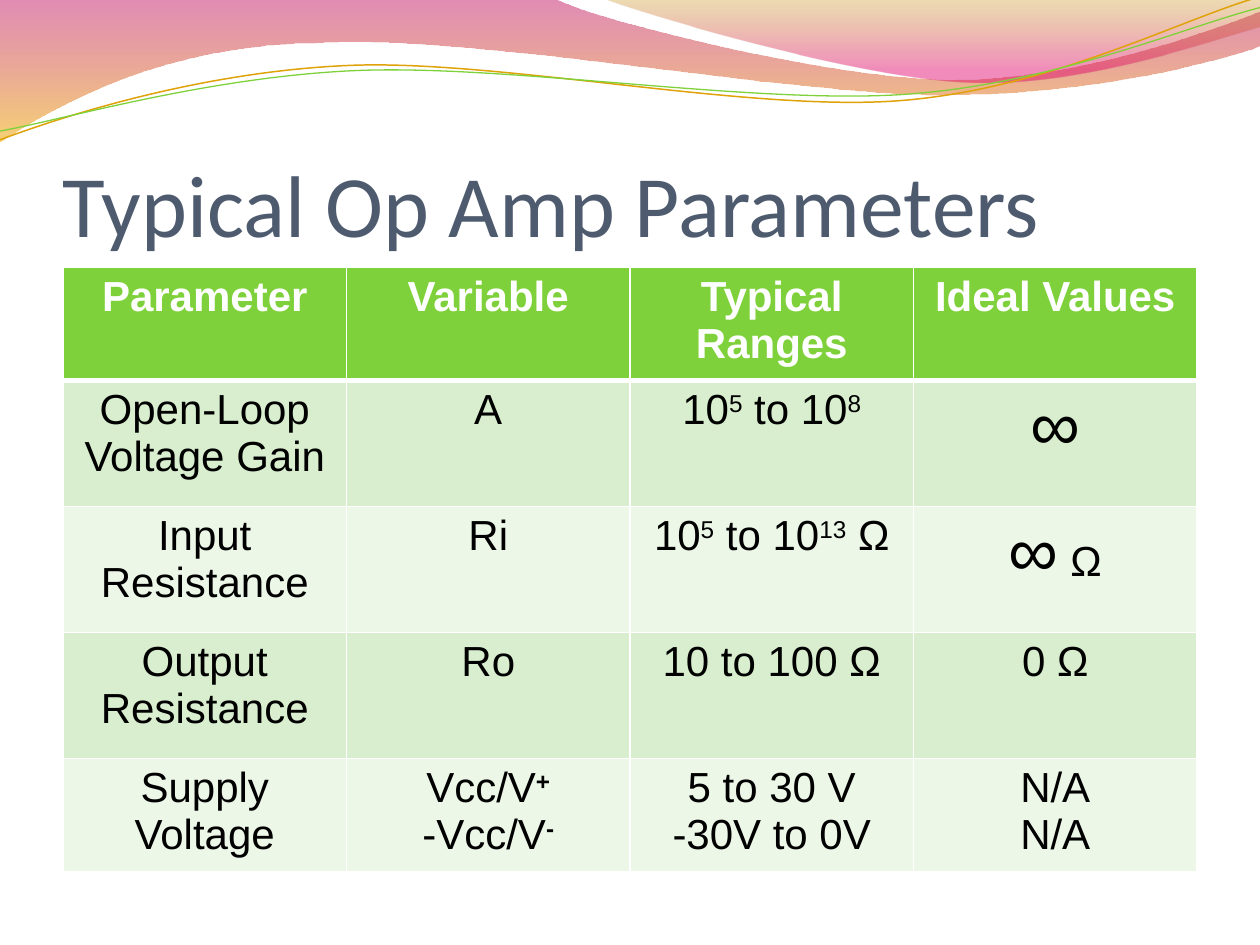
import math

from lxml import etree
from pptx import Presentation
from pptx import util as u
from pptx.dml.color import RGBColor
from pptx.enum import text
from pptx.oxml.ns import qn

COLORS = {"title": "4E5B6F", "green": "7FD13B", "gold": "E0A209", "white": "FFFFFF",
          "black": "000000", "band": "D8EECE", "pale": "ECF7E8",
          "berry": "BD0059", "amber": "F0AB00", "olive": "C38B00", "pink": "E1006B"}

TITLE = "Typical Op Amp Parameters"
HEADERS = ["Parameter", "Variable", "Typical Ranges", "Ideal Values"]
ROWS = [
    [["Open-Loop Voltage Gain"], ["A"],
     [("10", ("5", "sup"), " to 10", ("8", "sup"))], [(("∞", "big"),)]],
    [["Input Resistance"], ["Ri"],
     [("10", ("5", "sup"), " to 10", ("13", "sup"), " Ω")], [(("∞", "big"), " Ω")]],
    [["Output Resistance"], ["Ro"], ["10 to 100 Ω"], ["0 Ω"]],
    [["Supply Voltage"],
     [("Vcc/V", ("+", "sign")), ("-Vcc/V", ("-", "sign"))],
     ["5 to 30 V", "-30V to 0V"], ["N/A", "N/A"]],
]
ROW_HEIGHTS = [0.9, 1, 1, 1, 0.9]
COL_WIDTH = 2.25

# Each wave is a box and a start point, then lines (2 numbers) and cubic curves (6 numbers).
FILLED_WAVES = [
    ((-0.01, -0.01, 10.02, 1.14),
     [(0, -0.01), (4.4, -0.01), (4.76, 0.17, 6.64, 0.63, 7.58, 0.63),
      (8.53, 0.63, 9.58, 0.26, 10, 0.09), (10.01, 0.36),
      (9.83, 0.44, 8.7, 0.76, 7.46, 0.75), (6.22, 0.75, 3.82, 0.28, 2.57, 0.34),
      (1.29, 0.35, 0.46, 0.83, -0.01, 1.13), (0, -0.01)],
     [(0, "berry", 45), (1, "amber", 55)]),
    ((4.79, -0.01, 5.21, 0.7),
     [(4.79, -0.01), (5.09, 0.11, 6.82, 0.62, 7.69, 0.65),
      (8.56, 0.69, 9.61, 0.32, 10, 0.21), (10, 0), (4.79, -0.01)],
     [(0, "olive", 30), (0.8, "pink", 45)]),
]
LINE_TILT = -2.7
LINE_WAVES = [
    ((-0.02, 0.22, 10.02, 0.71),
     [(0, 1.11), (0.48, 0.93, 1.58, 0.57, 2.77, 0.52),
      (3.95, 0.47, 5.93, 0.89, 7.13, 0.8), (8.33, 0.71, 9.38, 0.15, 9.98, -0.02)],
     "gold", 0.85),
    ((-0.02, 0.3, 10.03, 0.58),
     [(0, 1.04), (0.47, 0.96, 1.64, 0.61, 2.83, 0.56),
      (4.03, 0.51, 5.97, 0.83, 7.17, 0.75), (8.36, 0.67, 9.41, 0.21, 10, 0.06)],
     "green", 0.75),
]


def rgb(name):
    return RGBColor.from_string(COLORS[name])


def add_wave(s, box, segments, tilt=0, closed=False):
    left, top, width, height = box
    right, bottom = left + width, top + height
    builder = s.shapes.build_freeform(u.Inches(left), u.Inches(top))
    builder.add_line_segments([(u.Inches(x), u.Inches(y)) for x, y in
                               ((right, top), (right, bottom), (left, bottom))])
    sp = builder.convert_to_shape()
    sp.shadow.inherit = False
    sp.rotation = tilt
    cos, sin = math.cos(math.radians(-tilt)), math.sin(math.radians(-tilt))
    outline = next(sp.element.iter(qn("a:path")))
    for child in list(outline):
        outline.remove(child)
    for i, seg in enumerate(segments):
        tag = "a:moveTo" if i == 0 else "a:lnTo" if len(seg) == 2 else "a:cubicBezTo"
        step = etree.SubElement(outline, qn(tag))
        for x, y in zip(seg[::2], seg[1::2]):
            dx, dy = x - left - width / 2, y - top - height / 2
            pt = etree.SubElement(step, qn("a:pt"))
            pt.set("x", str(u.Inches(width / 2 + dx * cos - dy * sin)))
            pt.set("y", str(u.Inches(height / 2 + dx * sin + dy * cos)))
    if closed:
        etree.SubElement(outline, qn("a:close"))
    return sp


def fill_gradient(sp, stops):
    sp.fill.gradient()
    sp.fill.gradient_angle = 270
    for stop, (position, color, _) in zip(sp.fill.gradient_stops, stops):
        stop.position = position
        stop.color.rgb = rgb(color)
    colors = sp.element.spPr.find(qn("a:gradFill")).iter(qn("a:srgbClr"))
    for clr, (_, _, opacity) in zip(colors, stops):
        etree.SubElement(clr, qn("a:alpha")).set("val", str(opacity * 1000))


def add_run(p, content, size, font, color, bold=False):
    r = p.add_run()
    r.text = content
    r.font.size = u.Pt(size)
    r.font.name = font
    r.font.bold = bold
    r.font.color.rgb = rgb(color)
    return r


def write_cell(cell, paragraphs, color, bold):
    tf = cell.text_frame
    for i, runs in enumerate(paragraphs):
        p = tf.add_paragraph() if i else tf.paragraphs[0]
        p.alignment = text.PP_ALIGN.CENTER
        for run in (runs,) if isinstance(runs, str) else runs:
            content, kind = (run, "") if isinstance(run, str) else run
            r = add_run(p, content, 40 if kind == "big" else 24, "Arial", color,
                        bold or kind == "sign")
            if kind in ("sup", "sign"):
                r.font._element.set("baseline", "30000")


def set_borders(cell, top, bottom):
    tcPr = cell._tc.get_or_add_tcPr()
    for i, (side, width) in enumerate(zip("LRTB", (1, 1, top, bottom))):
        ln = etree.Element(qn("a:ln" + side), w=str(u.Pt(width)))
        fill = etree.SubElement(ln, qn("a:solidFill"))
        etree.SubElement(fill, qn("a:srgbClr")).set("val", COLORS["white"])
        tcPr.insert(i, ln)


def add_parameters(s):
    rows = [[[h] for h in HEADERS]] + ROWS
    table = s.shapes.add_table(len(rows), len(HEADERS), u.Inches(0.5), u.Inches(2.12),
                               u.Inches(COL_WIDTH * len(HEADERS)),
                               u.Inches(sum(ROW_HEIGHTS))).table
    for column in table.columns:
        column.width = u.Inches(COL_WIDTH)
    for i, (row, height) in enumerate(zip(rows, ROW_HEIGHTS)):
        table.rows[i].height = u.Inches(height)
        header = i == 0
        background = "green" if header else "band" if i % 2 else "pale"
        for j, paragraphs in enumerate(row):
            cell = table.cell(i, j)
            cell.fill.solid()
            cell.fill.fore_color.rgb = rgb(background)
            set_borders(cell, 3 if i == 1 else 1, 3 if header else 1)
            write_cell(cell, paragraphs, "white" if header else "black", header)


def add_title(s):
    tf = s.shapes.add_textbox(u.Inches(0.5), u.Inches(0.77),
                              u.Inches(9), u.Inches(1.25)).text_frame
    tf.word_wrap = True
    tf.vertical_anchor = text.MSO_ANCHOR.BOTTOM
    tf.margin_left = tf.margin_right = tf.margin_bottom = 0
    add_run(tf.paragraphs[0], TITLE, 50, "Calibri", "title")


def main():
    prs = Presentation()
    prs.slide_width, prs.slide_height = u.Inches(10), u.Inches(7.5)
    s = prs.slides.add_slide(prs.slide_layouts[6])
    for box, segments, stops in FILLED_WAVES:
        sp = add_wave(s, box, segments, closed=True)
        fill_gradient(sp, stops)
        sp.line.fill.background()
    for box, segments, color, width in LINE_WAVES:
        sp = add_wave(s, box, segments, LINE_TILT)
        sp.fill.background()
        sp.line.color.rgb = rgb(color)
        sp.line.width = u.Pt(width)
    add_title(s)
    add_parameters(s)
    prs.save("out.pptx")


if __name__ == "__main__":
    main()
